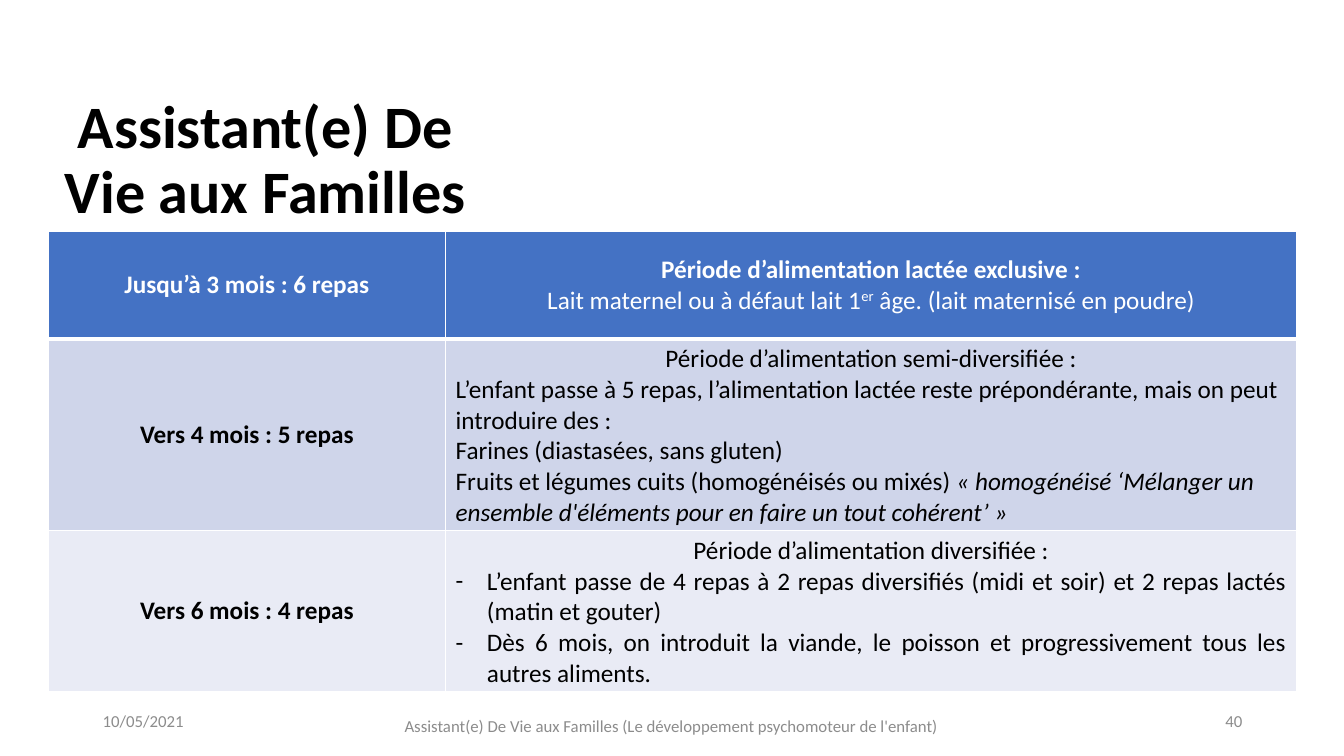
from lxml import etree
from pptx import Presentation
from pptx.dml.color import RGBColor
from pptx.enum.text import MSO_ANCHOR, PP_ALIGN
from pptx.oxml.ns import qn
from pptx.util import Inches, Pt

LEFT, CENTER, RIGHT = PP_ALIGN.LEFT, PP_ALIGN.CENTER, PP_ALIGN.RIGHT
JUSTIFY = PP_ALIGN.JUSTIFY
MIDDLE, BOTTOM = MSO_ANCHOR.MIDDLE, MSO_ANCHOR.BOTTOM

FONT = "Calibri"
COLOURS = {"black": "000000", "white": "FFFFFF", "grey": "8C8C8C",
           "header": "4472C4", "band": "CFD5EA", "light": "E9EBF5"}

TITLE = "Assistant(e) De Vie aux Familles"
# text, left, top, width, alignment
FOOTERS = [
    ("10/05/2021", 0.92, 6.95, 3, LEFT),
    ("Assistant(e) De Vie aux Familles (Le développement psychomoteur de l'enfant)",
     3.86, 7, 5.6, CENTER),
    ("40", 9.42, 6.95, 3, RIGHT),
]

TABLE_AT = (0.48, 2.3)
COLUMN_WIDTHS = [3.94, 8.44]
# height, fill, text colour, age, paragraphs of (alignment, dash, [(text, style)])
MEALS = [
    (1.06, "header", "white", "Jusqu’à 3 mois : 6 repas", [
        (CENTER, False, [("Période d’alimentation lactée exclusive :", "bold")]),
        (CENTER, False, [("Lait maternel ou à défaut lait 1", ""), ("er", "super"),
                         (" âge. (lait maternisé en poudre)", "")]),
    ]),
    (1.9, "band", "black", "Vers 4 mois : 5 repas", [
        (CENTER, False, [("Période d’alimentation semi-diversifiée :", "")]),
        (LEFT, False, [("L’enfant passe à 5 repas, l’alimentation lactée reste "
                        "prépondérante, mais on peut introduire des :", "")]),
        (LEFT, False, [("Farines (diastasées, sans gluten)", "")]),
        (LEFT, False, [("Fruits et légumes cuits (homogénéisés ou mixés) ", ""),
                       ("« homogénéisé ‘Mélanger un ensemble d'éléments pour "
                        "en faire un tout cohérent’ »", "italic")]),
    ]),
    (1.6, "light", "black", "Vers 6 mois : 4 repas", [
        (CENTER, False, [("Période d’alimentation diversifiée :", "")]),
        (JUSTIFY, True, [("L’enfant passe de 4 repas à 2 repas diversifiés (midi et soir) "
                          "et 2 repas lactés (matin et gouter)", "")]),
        (JUSTIFY, True, [("Dès 6 mois, on introduit la viande, le poisson et "
                          "progressivement tous les autres aliments.", "")]),
    ]),
]


def add_span(para, text, size, colour, style=""):
    span = para.add_run()
    span.text = text
    font = span.font
    font.name, font.size = FONT, Pt(size)
    font.bold, font.italic = style == "bold", style == "italic"
    font.color.rgb = RGBColor.from_string(COLOURS[colour])
    if style == "super":
        span._r.get_or_add_rPr().set("baseline", "30000")


def add_text(page, text, place, size, colour, align, anchor, style=""):
    box = page.shapes.add_textbox(*map(Inches, place))
    frame = box.text_frame
    frame.word_wrap = True
    frame.vertical_anchor = anchor
    para = frame.paragraphs[0]
    para.alignment = align
    add_span(para, text, size, colour, style)
    return para


def add_dash(para):
    """Give the paragraph a hanging dash as its bullet."""
    props = para._p.get_or_add_pPr()
    props.set("marL", str(Inches(0.31)))
    props.set("indent", str(-Inches(0.31)))
    etree.SubElement(props, qn("a:buFont"), typeface=FONT)
    etree.SubElement(props, qn("a:buChar"), char="-")


def add_borders(cell, top, bottom):
    props = cell._tc.get_or_add_tcPr()
    for side, width in (("L", 1), ("R", 1), ("T", top), ("B", bottom)):
        line = etree.SubElement(props, qn(f"a:ln{side}"), w=str(Pt(width)))
        fill = etree.SubElement(line, qn("a:solidFill"))
        etree.SubElement(fill, qn("a:srgbClr"), val=COLOURS["white"])


def fill_cell(cell, paragraphs, colour):
    frame = cell.text_frame
    for index, (align, dash, spans) in enumerate(paragraphs):
        para = frame.add_paragraph() if index else frame.paragraphs[0]
        para.alignment = align
        if dash:
            add_dash(para)
        for text, style in spans:
            add_span(para, text, 18, colour, style)


def add_meal_table(page):
    size = (sum(COLUMN_WIDTHS), sum(meal[0] for meal in MEALS))
    table = page.shapes.add_table(len(MEALS), len(COLUMN_WIDTHS),
                                  *map(Inches, TABLE_AT + size)).table
    for column, width in zip(table.columns, COLUMN_WIDTHS):
        column.width = Inches(width)
    for index, (height, fill, colour, age, period) in enumerate(MEALS):
        table.rows[index].height = Inches(height)
        age_text = [(CENTER, False, [(age, "bold")])]
        for column, paragraphs in enumerate((age_text, period)):
            cell = table.cell(index, column)
            cell.vertical_anchor = MIDDLE
            add_borders(cell, 3 if index == 1 else 1, 3 if index == 0 else 1)
            cell.fill.solid()
            cell.fill.fore_color.rgb = RGBColor.from_string(COLOURS[fill])
            fill_cell(cell, paragraphs, colour)


def main():
    deck = Presentation()
    deck.slide_width, deck.slide_height = Inches(13.33), Inches(7.5)
    page = deck.slides.add_slide(deck.slide_layouts[6])
    title = add_text(page, TITLE, (0.48, 0.55, 4.3, 1.75), 43, "black",
                     CENTER, BOTTOM, "bold")
    title.line_spacing = 0.9
    for text, left, top, width, align in FOOTERS:
        add_text(page, text, (left, top, width, 0.4), 12, "grey", align, MIDDLE)
    add_meal_table(page)
    deck.save("out.pptx")


if __name__ == "__main__":
    main()
